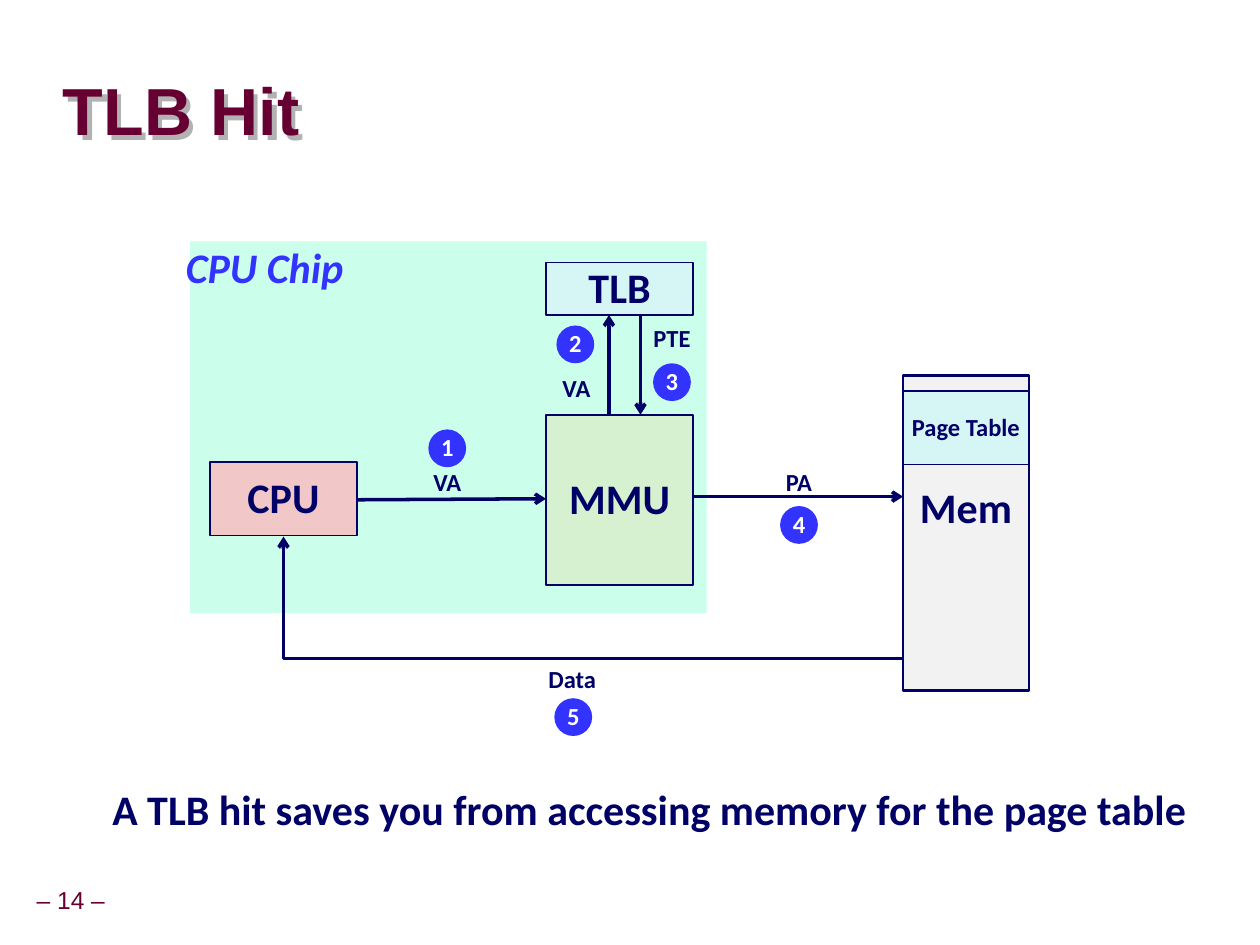
from dataclasses import dataclass

from lxml import etree
from pptx import Presentation
from pptx.dml.color import RGBColor
from pptx.enum.shapes import MSO_CONNECTOR, MSO_SHAPE
from pptx.enum.text import MSO_ANCHOR, PP_ALIGN
from pptx.oxml import parse_xml
from pptx.oxml.ns import nsdecls, qn
from pptx.util import Inches, Pt

RECTANGLE, OVAL = MSO_SHAPE.RECTANGLE, MSO_SHAPE.OVAL
STRAIGHT, ELBOW = MSO_CONNECTOR.STRAIGHT, MSO_CONNECTOR.ELBOW
LEFT, CENTER = PP_ALIGN.LEFT, PP_ALIGN.CENTER
TOP, MIDDLE = MSO_ANCHOR.TOP, MSO_ANCHOR.MIDDLE


@dataclass(frozen=True)
class Theme:
    heading_font: str = "Arial"
    body_font: str = "Calibri"
    maroon: str = "660033"
    navy: str = "000066"
    blue: str = "3333FF"
    white: str = "FFFFFF"
    mint: str = "CCFFEB"
    green: str = "D5F1CF"
    pink: str = "F1C7C7"
    aqua: str = "D6F5F5"
    grey: str = "F2F2F2"
    shadow: str = "B2B2B2"
    title_size: int = 38
    large: int = 24
    small: int = 14


theme = Theme()
COLUMNS, ROWS = 120, 90
BADGE = 3.6

presentation = Presentation()
presentation.slide_width, presentation.slide_height = Inches(10), Inches(7.5)
column = presentation.slide_width / COLUMNS
row = presentation.slide_height / ROWS
slide = presentation.slides.add_slide(presentation.slide_layouts[6])


def add_box(text, left, top, width, height, kind=None, fill=None, line=0,
            size=theme.large, color=theme.navy, font=theme.body_font, bold=True,
            align=CENTER, anchor=MIDDLE, spacing=0.98):
    """Add a text box, or a preset shape when kind is given; lengths are in grid cells."""
    place = [int(left * column), int(top * row), int(width * column), int(height * row)]
    if kind is None:
        shape = slide.shapes.add_textbox(*place)
    else:
        shape = slide.shapes.add_shape(kind, *place)
        shape.shadow.inherit = False
        shape.fill.solid()
        shape.fill.fore_color.rgb = RGBColor.from_string(fill)
        if line:
            shape.line.color.rgb = RGBColor.from_string(theme.navy)
            shape.line.width = Pt(line)
        else:
            shape.line.fill.background()
    if text:
        frame = shape.text_frame
        frame.word_wrap = False
        frame.vertical_anchor = anchor
        paragraph = frame.paragraphs[0]
        paragraph.text = text
        paragraph.alignment = align
        paragraph.line_spacing = spacing
        paragraph.font.name = font
        paragraph.font.size = Pt(size)
        paragraph.font.bold = bold
        paragraph.font.color.rgb = RGBColor.from_string(color)
    return shape


def add_arrow(kind, x1, y1, x2, y2, end="tailEnd"):
    arrow = slide.shapes.add_connector(
        kind, int(x1 * column), int(y1 * row), int(x2 * column), int(y2 * row))
    arrow.line.color.rgb = RGBColor.from_string(theme.navy)
    arrow.line.width = Pt(2)
    etree.SubElement(arrow.line._get_or_add_ln(), qn("a:" + end), type="arrow")
    etree.SubElement(arrow._element.spPr, qn("a:effectLst"))
    return arrow


# Title with its drop shadow, and page number
title = add_box("TLB Hit", 6, 5.8, 114, 10.3, size=theme.title_size, color=theme.maroon,
                font=theme.heading_font, align=LEFT, spacing=0.87)
title.text_frame.margin_left = title.text_frame.margin_right = 0
title.text_frame.margin_top = title.text_frame.margin_bottom = 0
title._element.spPr.append(parse_xml(
    f'<a:effectLst {nsdecls("a")}><a:outerShdw dist="45000" dir="2700000" algn="ctr">'
    f'<a:srgbClr val="{theme.shadow}"/></a:outerShdw></a:effectLst>'))
add_box("– 14 –", -1.1, 84, 15.7, 3.7, size=theme.small, color=theme.maroon,
        font=theme.heading_font, bold=False, spacing=0.9)

# Chip and hardware blocks
add_box("", 18.1, 23, 49.2, 35.4, RECTANGLE, theme.mint)
chip_label = add_box("CPU Chip", 16.5, 23, 17.4, 5.5, color=theme.blue,
                     anchor=TOP, spacing=0.9)
chip_label.text_frame.paragraphs[0].font.italic = True
add_box("CPU", 20, 44, 14, 7, RECTANGLE, theme.pink, 1)
add_box("MMU", 52, 39.5, 14, 16.2, RECTANGLE, theme.green, 1)
add_box("TLB", 52, 25, 14, 5, RECTANGLE, theme.aqua, 1)
memory = add_box("Mem", 86, 35.75, 12, 30, RECTANGLE, theme.grey, 1.5, spacing=0.9)
memory.text_frame.margin_bottom = Inches(0.42)
add_box("Page Table", 86, 37.25, 12, 7, RECTANGLE, theme.aqua, 1, size=theme.small)

# Signals between the blocks
for ends in [(34, 47.6, 52, 47.5), (66, 47.3, 86, 47.3),
             (58, 39.5, 58, 30), (61, 30, 61, 39.5)]:
    add_arrow(STRAIGHT, *ends)

# Data path: half a turn makes the bend run left from memory, then up to the CPU
data_path = add_arrow(ELBOW, 27, 51.1, 86, 62.7)
data_path._element.spPr.find(qn("a:prstGeom")).set("prst", "bentConnector2")
data_path._element.spPr.find(qn("a:xfrm")).set("rot", "10800000")

# Signal names, centred on x and y
for name, x, y, width in [("VA", 42.6, 46, 5.2), ("VA", 54.9, 37, 5.2),
                          ("PTE", 64, 32.3, 5.9), ("PA", 76.1, 46, 5),
                          ("Data", 54.5, 64.7, 7)]:
    add_box(name, x - width / 2, y - 2, width, 4, size=theme.small)

# Numbered steps, centred on x and y
steps = [(42.6, 42.7), (54.8, 32.8), (64, 36.4), (76.1, 50), (54.6, 68.3)]
for number, (x, y) in enumerate(steps, start=1):
    add_box(str(number), x - BADGE / 2, y - BADGE / 2, BADGE, BADGE, OVAL, theme.blue,
            size=theme.small, color=theme.white)

takeaway = add_box("A TLB hit saves you from accessing memory for the page table",
                   6.6, 74, 110.5, 7.6, anchor=TOP, spacing=1.0)
takeaway.text_frame.word_wrap = True

presentation.save("out.pptx")
